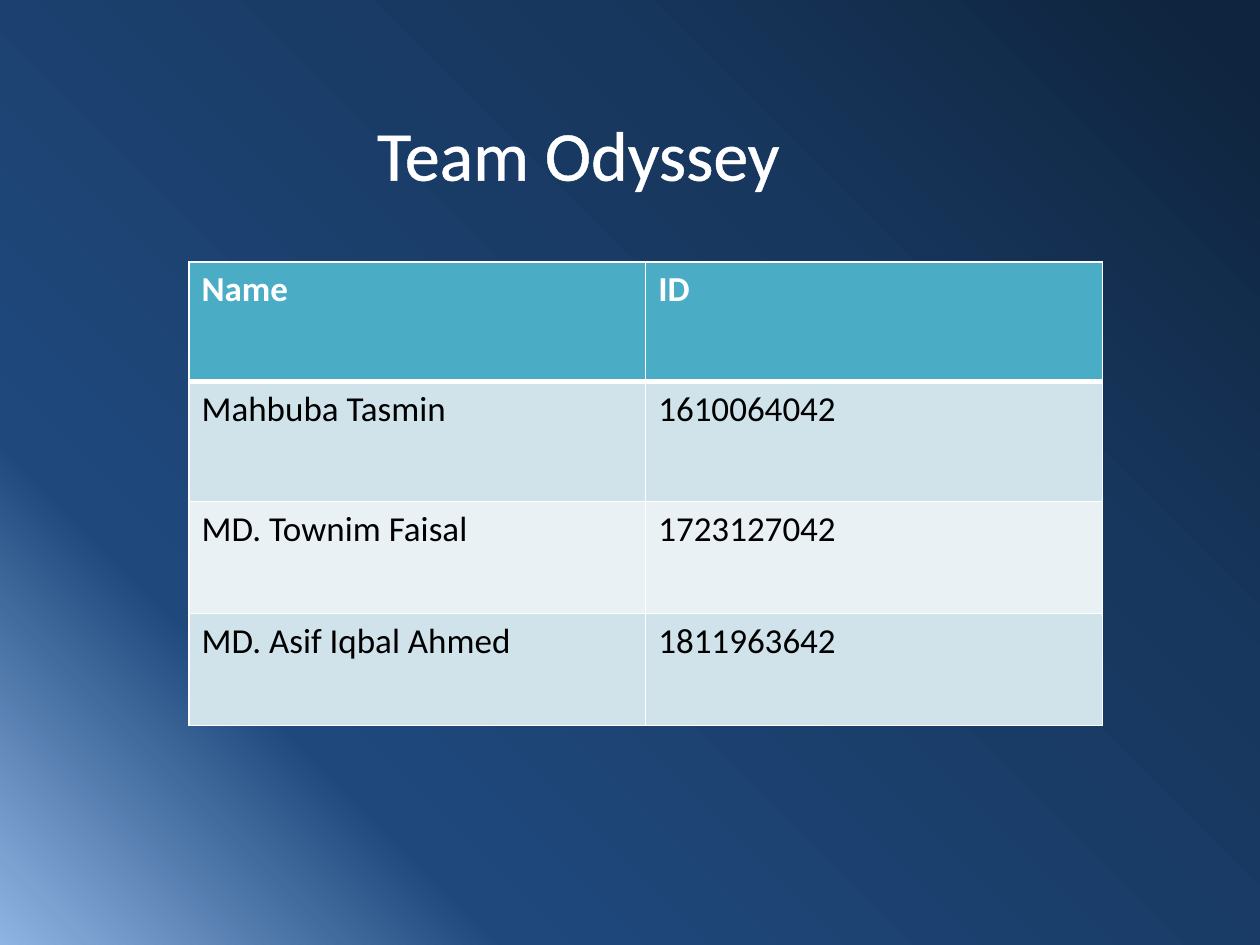
from pptx import Presentation
from pptx.dml.color import RGBColor
from pptx.enum.text import MSO_AUTO_SIZE, PP_ALIGN
from pptx.oxml import parse_xml
from pptx.oxml.ns import nsdecls, qn
from pptx.util import Inches, Pt

WHITE = RGBColor(0xFF, 0xFF, 0xFF)
BLACK = RGBColor(0x00, 0x00, 0x00)
TEAL = RGBColor(0x4B, 0xAC, 0xC6)
BAND_DARK = RGBColor(0xD0, 0xE3, 0xEA)
BAND_LIGHT = RGBColor(0xE9, 0xF1, 0xF5)
GRADIENT = [
    (0, RGBColor(0x8E, 0xB4, 0xE3)),
    (23, RGBColor(0x1F, 0x49, 0x7D)),
    (69, RGBColor(0x17, 0x37, 0x5E)),
    (97, RGBColor(0x0F, 0x24, 0x3E)),
]

MEMBERS = [
    ("Name", "ID"),
    ("Mahbuba Tasmin", "1610064042"),
    ("MD. Townim Faisal", "1723127042"),
    ("MD. Asif Iqbal Ahmed", "1811963642"),
]
ROW_HEIGHTS = [0.95, 0.95, 0.89, 0.89]


def line_xml(tag, color, width):
    return parse_xml(
        f'<a:{tag} {nsdecls("a")} w="{Pt(width)}"><a:solidFill>'
        f'<a:srgbClr val="{color}"/></a:solidFill></a:{tag}>')


def add_text(tf, text, *, size, color, bold=False, align=PP_ALIGN.LEFT, outline=None):
    p = tf.paragraphs[0]
    p.alignment = align
    r = p.add_run()
    r.text = text
    r.font.name = "Calibri"
    r.font.size = Pt(size)
    r.font.bold = bold
    r.font.color.rgb = color
    if outline:
        r.font._element.insert(0, line_xml("ln", color, outline))


def set_background(s):
    """Radial gradient spreading from the bottom left corner."""
    s.background.fill.gradient()
    old = next(s.element.iter(qn("a:gradFill")))
    stops = "".join(
        f'<a:gs pos="{pos * 1000}"><a:srgbClr val="{color}"/></a:gs>'
        for pos, color in GRADIENT)
    new = parse_xml(
        f'<a:gradFill {nsdecls("a")} rotWithShape="1"><a:gsLst>{stops}</a:gsLst>'
        '<a:path path="circle"><a:fillToRect t="100000" r="100000"/></a:path>'
        '</a:gradFill>')
    old.getparent().replace(old, new)


def add_title(s, left, top, width, height):
    tb = s.shapes.add_textbox(Inches(left), Inches(top), Inches(width), Inches(height))
    tf = tb.text_frame
    tf.word_wrap = False
    tf.auto_size = MSO_AUTO_SIZE.SHAPE_TO_FIT_TEXT
    add_text(tf, "Team Odyssey", size=40, color=WHITE, align=PP_ALIGN.CENTER, outline=1.45)


def set_borders(cell, heavy_sides):
    """White borders, 3 pt on the heavy sides and 1 pt elsewhere."""
    tc_pr = cell._tc.get_or_add_tcPr()
    for i, side in enumerate("LRTB"):
        tc_pr.insert(i, line_xml(f"ln{side}", WHITE, 3 if side in heavy_sides else 1))


def add_members(s, left, top, width, height):
    table = s.shapes.add_table(
        len(MEMBERS), 2, Inches(left), Inches(top), Inches(width), Inches(height)).table
    for i, row in enumerate(MEMBERS):
        table.rows[i].height = Inches(ROW_HEIGHTS[i])
        header = i == 0
        fill = TEAL if header else (BAND_DARK if i % 2 else BAND_LIGHT)
        heavy_sides = {0: "B", 1: "T"}.get(i, "")
        for j, text in enumerate(row):
            cell = table.cell(i, j)
            cell.fill.solid()
            cell.fill.fore_color.rgb = fill
            set_borders(cell, heavy_sides)
            add_text(cell.text_frame, text, size=20,
                     color=WHITE if header else BLACK, bold=header)


def main():
    prs = Presentation()
    prs.slide_width, prs.slide_height = Inches(10), Inches(7.5)
    s = prs.slides.add_slide(prs.slide_layouts[6])
    set_background(s)
    add_title(s, 2.81, 0.83, 3.56, 0.77)
    add_members(s, 1.5, 2.08, 7.25, sum(ROW_HEIGHTS))
    prs.save("out.pptx")


if __name__ == "__main__":
    main()
